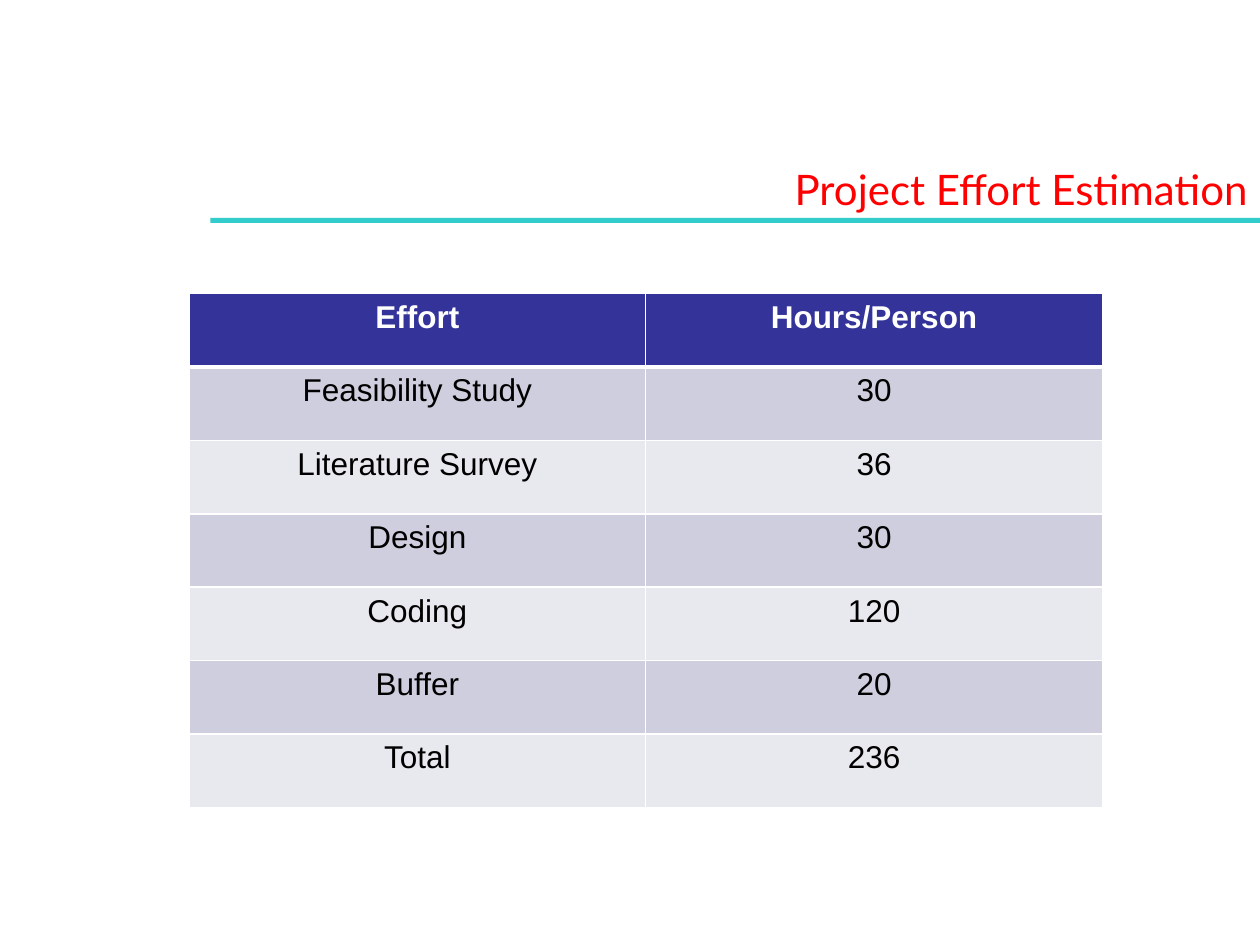
from lxml.etree import SubElement
from pptx import Presentation
from pptx.dml.color import RGBColor
from pptx.enum.shapes import MSO_SHAPE
from pptx.enum.text import PP_ALIGN
from pptx.oxml.ns import qn
from pptx.util import Inches, Pt


def color(hex_string):
    return RGBColor.from_string(hex_string)


def add_border(cell, side, points):
    line = SubElement(cell._tc.get_or_add_tcPr(), qn(f"a:{side}"), w=str(Pt(points)))
    fill = SubElement(line, qn("a:solidFill"))
    SubElement(fill, qn("a:srgbClr"), val="FFFFFF")


presentation = Presentation()
presentation.slide_width = Inches(10)
presentation.slide_height = Inches(7.5)
slide = presentation.slides.add_slide(presentation.slide_layouts[6])

# Rule under the title
rule = slide.shapes.add_shape(
    MSO_SHAPE.RECTANGLE, Inches(1.67), Inches(1.73), Inches(8.33), Inches(0.04)
)
rule.shadow.inherit = False
rule.fill.solid()
rule.fill.fore_color.rgb = color("33CCCC")
rule.line.fill.background()

# Title
title = slide.shapes.add_textbox(Inches(1.5), Inches(1.25), Inches(8.5), Inches(0.5))
title.text_frame.word_wrap = True
title.text_frame.text = "Project Effort Estimation"
paragraph = title.text_frame.paragraphs[0]
paragraph.alignment = PP_ALIGN.RIGHT
font = paragraph.runs[0].font
font.name = "Lato"
font.size = Pt(24)
font.color.rgb = color("FF0000")

# Effort table
efforts = [
    ("Effort", "Hours/Person"),
    ("Feasibility Study", "30"),
    ("Literature Survey", "36"),
    ("Design", "30"),
    ("Coding", "120"),
    ("Buffer", "20"),
    ("Total", "236"),
]
table = slide.shapes.add_table(
    len(efforts), 2, Inches(1.5), Inches(2.33), Inches(7.25), Inches(4.08)
).table

for row_index, row in enumerate(efforts):
    is_header = row_index == 0
    if is_header:
        fill_color = "333399"
    else:
        fill_color = "CECEDE" if row_index % 2 else "E8E8EF"
    for column_index, text in enumerate(row):
        cell = table.cell(row_index, column_index)
        cell.text_frame.text = text
        paragraph = cell.text_frame.paragraphs[0]
        paragraph.alignment = PP_ALIGN.CENTER
        font = paragraph.runs[0].font
        font.name = "Arial"
        font.size = Pt(18)
        font.bold = is_header
        font.color.rgb = color("FFFFFF" if is_header else "000000")

        # Borders come before the fill in the cell properties
        for side in ("lnL", "lnR", "lnT", "lnB"):
            below_header = (side == "lnB" and row_index == 0) or (
                side == "lnT" and row_index == 1
            )
            add_border(cell, side, 3 if below_header else 1)
        cell.fill.solid()
        cell.fill.fore_color.rgb = color(fill_color)

presentation.save("out.pptx")
